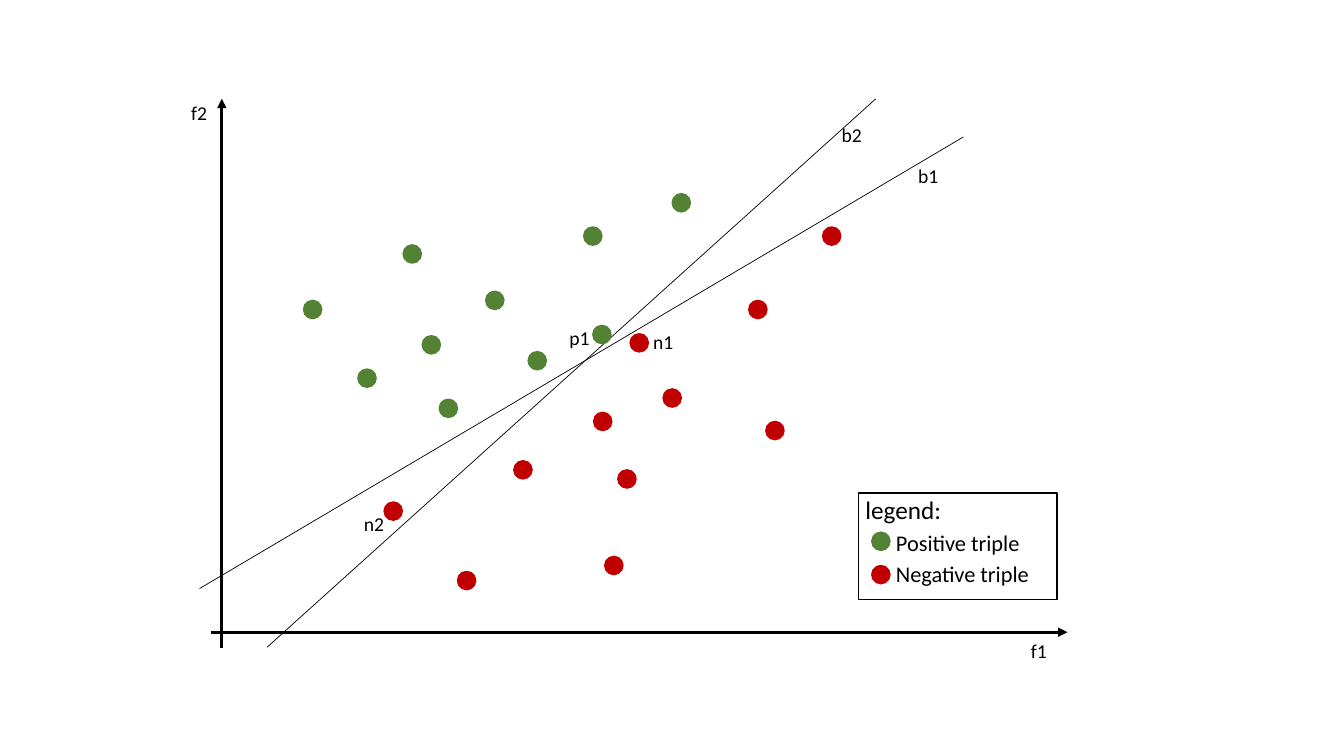
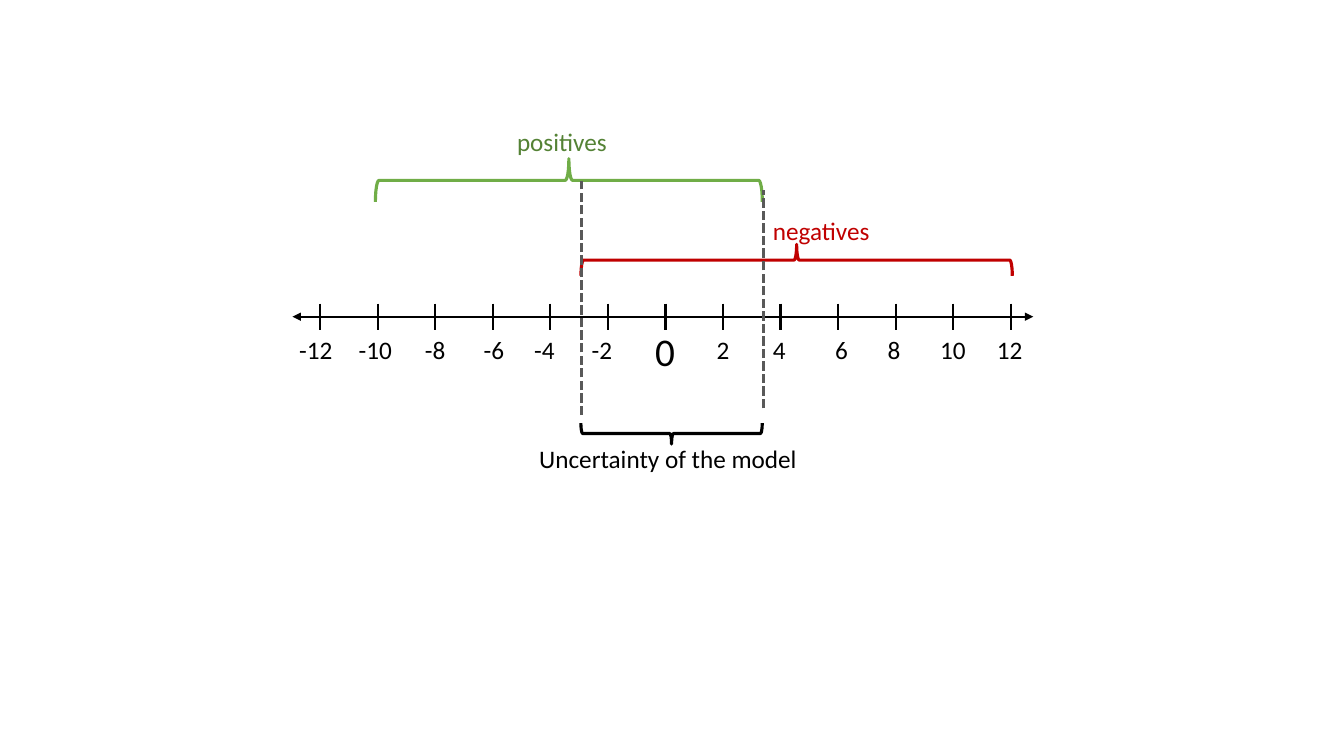
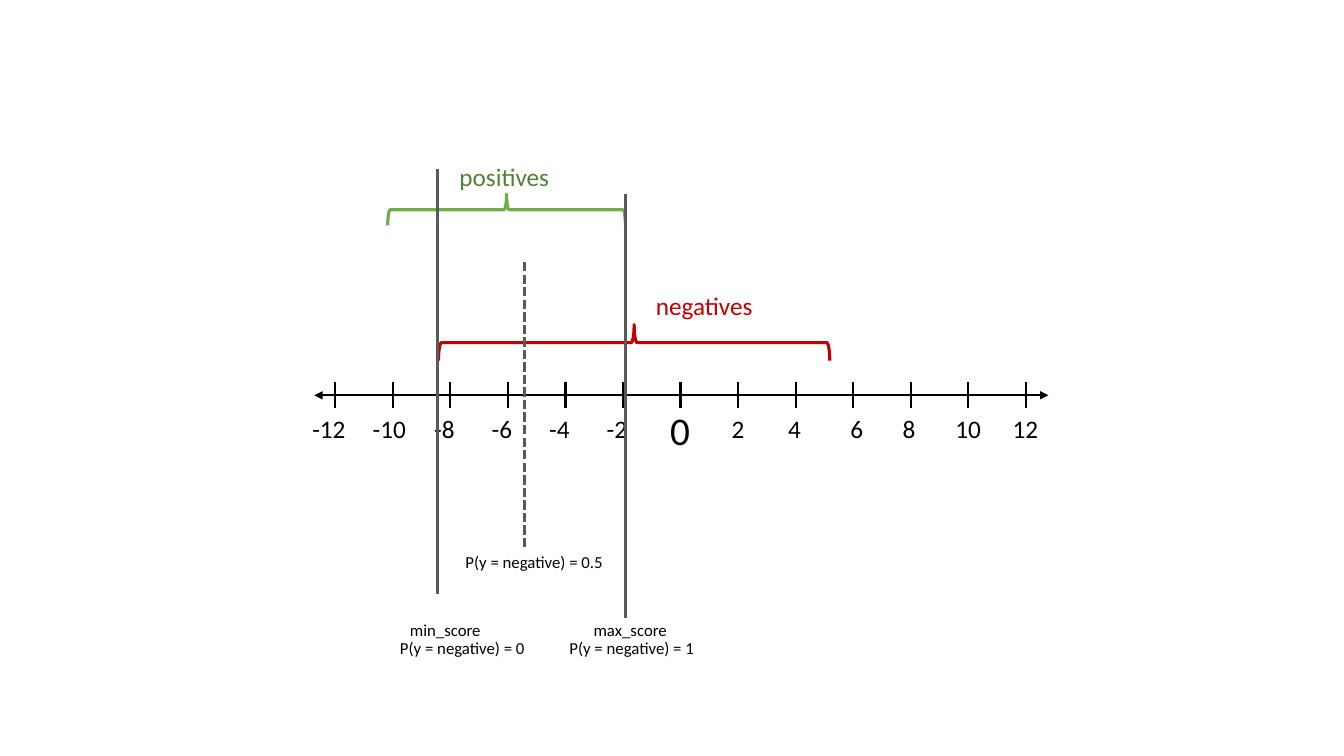
import lxml.etree
import pptx
import pptx.dml.color
import pptx.enum.dml
import pptx.enum.shapes
import pptx.enum.text
import pptx.oxml.ns
import pptx.util

Cm = pptx.util.Cm
Pt = pptx.util.Pt
Kind = pptx.enum.shapes.MSO_SHAPE

BLACK, GREY = "000000", "595959"
GREEN, LIME, RED = "548235", "70AD47", "C00000"


def paint(code):
    return pptx.dml.color.RGBColor.from_string(code)


def add(node, tag, **attrs):
    return lxml.etree.SubElement(node, pptx.oxml.ns.qn(tag), **attrs)


class Deck:
    """Holds the style and the current slide, and draws each kind of element."""

    font = "Calibri"
    dot_size = 0.46
    tick_gap = 1.45
    tick_half = 0.33

    def __init__(self):
        self.file = pptx.Presentation()
        self.file.slide_width = Cm(33.87)
        self.file.slide_height = Cm(19.05)

    def page(self):
        self.slide = self.file.slides.add_slide(self.file.slide_layouts[6])
        self.shapes = self.slide.shapes

    def text(self, words, x, y, width, size=18, color=BLACK, wrap=True):
        height = 0.25 + size * 0.043
        box = self.shapes.add_textbox(Cm(x), Cm(y), Cm(width), Cm(height))
        frame = box.text_frame
        frame.word_wrap = wrap
        frame.auto_size = pptx.enum.text.MSO_AUTO_SIZE.SHAPE_TO_FIT_TEXT
        run = frame.paragraphs[0].add_run()
        run.text = words
        run.font.name = self.font
        run.font.size = Pt(size)
        run.font.color.rgb = paint(color)

    def line(self, x1, y1, x2, y2, color=BLACK, width=1.5, dash=False, head=False, tail=False):
        kind = pptx.enum.shapes.MSO_CONNECTOR.STRAIGHT
        line = self.shapes.add_connector(kind, Cm(x1), Cm(y1), Cm(x2), Cm(y2))
        line.line.color.rgb = paint(color)
        line.line.width = Pt(width)
        if dash:
            line.line.dash_style = pptx.enum.dml.MSO_LINE.SQUARE_DOT
        ends = line.line._get_or_add_ln()
        if head:
            add(ends, "a:headEnd", type="triangle")
        if tail:
            add(ends, "a:tailEnd", type="triangle")
        add(line._element.spPr, "a:effectLst")

    def shape(self, kind, x, y, width, height, fill=None, color=BLACK, weight=1):
        shape = self.shapes.add_shape(kind, Cm(x), Cm(y), Cm(width), Cm(height))
        shape.shadow.inherit = False
        if fill:
            shape.fill.solid()
            shape.fill.fore_color.rgb = paint(fill)
        else:
            shape.fill.background()
        shape.line.color.rgb = paint(color)
        shape.line.width = Pt(weight)
        return shape

    def dot(self, x, y, color):
        self.shape(Kind.OVAL, x, y, self.dot_size, self.dot_size, color, color)

    def brace(self, x, y, width, height, color, turn=90):
        shift = (width - height) / 2
        brace = self.shape(Kind.LEFT_BRACE, x + shift, y - shift, height, width,
                           color=color, weight=2.25)
        brace.rotation = turn

    def scale(self, y, left, right, first, labels):
        self.line(left, y, right, y, head=True, tail=True)
        for i, x in enumerate(labels):
            value = 2 * i - 12
            tick = first + i * self.tick_gap
            self.line(tick, y - self.tick_half, tick, y + self.tick_half)
            size = 18 if value else 28
            digits = len(str(abs(value)))
            width = 0.51 + (0.33 * digits + 0.2 * (value < 0)) * size / 18
            top = y + (self.tick_half if value else 0.15)
            self.text(str(value), x, top, width, size=size, wrap=False)

    def key(self):
        self.shapes = self.slide.shapes.add_group_shape().shapes
        self.shape(Kind.RECTANGLE, 21.64, 12.42, 5, 2.69)
        self.text("legend:", 21.56, 12.34, 2.44, wrap=False)
        rows = (("Positive triple", GREEN, 3.68), ("Negative triple", RED, 3.91))
        for i, (words, color, width) in enumerate(rows):
            self.dot(21.97, 13.41 + i * 0.84, color)
            self.text(words, 22.33, 13.21 + i * 0.79, width, size=16, wrap=False)
        self.shapes = self.slide.shapes


def plot(deck):
    deck.page()
    deck.line(5.31, 15.93, 26.9, 15.93, width=2.25, tail=True)
    deck.line(5.59, 16.33, 5.59, 2.49, width=2.25, tail=True)
    deck.line(5.03, 14.83, 24.28, 3.45, width=0.5)
    deck.line(6.73, 16.31, 22.07, 2.49, width=0.5)
    dots = {
        GREEN: ((13.31, 8.86), (9.02, 9.3), (12.24, 7.34), (14.71, 5.72), (10.16, 6.17),
                (10.64, 8.46), (14.94, 8.2), (16.94, 4.88), (7.65, 7.57), (11.07, 10.06)),
        RED: ((15.88, 8.41), (14.96, 10.39), (15.57, 11.84), (18.87, 7.57), (16.71, 9.8),
              (12.95, 11.61), (9.68, 12.65), (11.53, 14.4), (19.3, 10.62), (15.24, 14.02),
              (20.73, 5.72)),
    }
    for color, spots in dots.items():
        for x, y in spots:
            deck.dot(x, y, color)
    names = (("b1", 22.89, 4.01), ("n1", 16.21, 8.2), ("b2", 20.96, 2.97),
             ("n2", 8.92, 12.78), ("p1", 14.1, 8.08), ("f1", 25.73, 15.98),
             ("f2", 4.57, 2.41))
    for words, x, y in names:
        width = 0.91 if words[0] == "f" else 1.04
        deck.text(words, x, y, width, size=14, wrap=False)
    deck.key()


def doubt(deck):
    deck.page()
    deck.scale(7.98, 7.37, 26.04, 8.07,
               (7.29, 8.79, 10.46, 11.94, 13.21, 14.66, 16.26,
                17.81, 19.23, 20.8, 22.12, 23.44, 24.87))
    deck.brace(9.46, 4, 9.75, 1.09, LIME)
    deck.brace(14.64, 6.16, 10.87, 0.79, RED)
    deck.brace(14.64, 10.66, 4.57, 0.53, BLACK, turn=270)
    deck.text("Uncertainty of the model", 13.34, 11.05, 7.44)
    deck.text("positives", 12.78, 3.07, 3.18, color=GREEN)
    deck.text("negatives", 19.23, 5.31, 3.18, color=RED)
    deck.line(14.66, 10.46, 14.66, 4.55, GREY, 2.25, dash=True)
    deck.line(19.23, 10.29, 19.23, 4.78, GREY, 2.25, dash=True)


def score(deck):
    deck.page()
    deck.scale(9.96, 7.92, 26.42, 8.45,
               (7.62, 9.14, 10.69, 12.14, 13.59, 15.04, 16.64,
                18.19, 19.61, 21.18, 22.5, 23.83, 25.27))
    deck.brace(9.77, 4.89, 5.99, 0.79, LIME)
    deck.brace(11.05, 8.18, 9.86, 0.91, RED)
    deck.line(11.02, 14.96, 11.02, 4.27, GREY, 2.25)
    deck.line(15.77, 15.57, 15.77, 4.88, GREY, 2.25)
    deck.line(13.21, 13.79, 13.21, 6.58, GREY, 2.25, dash=True)
    notes = (("min_score", 10.08, 15.49, 3.48), ("max_score", 14.71, 15.49, 3.48),
             ("P(y = negative) = 0.5", 11.48, 13.79, 6.81),
             ("P(y = negative) = 1", 14.1, 15.95, 6.81),
             ("P(y = negative) = 0", 9.83, 15.95, 3.81))
    for words, x, y, width in notes:
        deck.text(words, x, y, width, size=12)
    deck.text("positives", 11.33, 3.94, 3.18, color=GREEN)
    deck.text("negatives", 16.28, 7.19, 3.18, color=RED)


def main():
    deck = Deck()
    plot(deck)
    doubt(deck)
    score(deck)
    deck.file.save("out.pptx")


if __name__ == "__main__":
    main()
